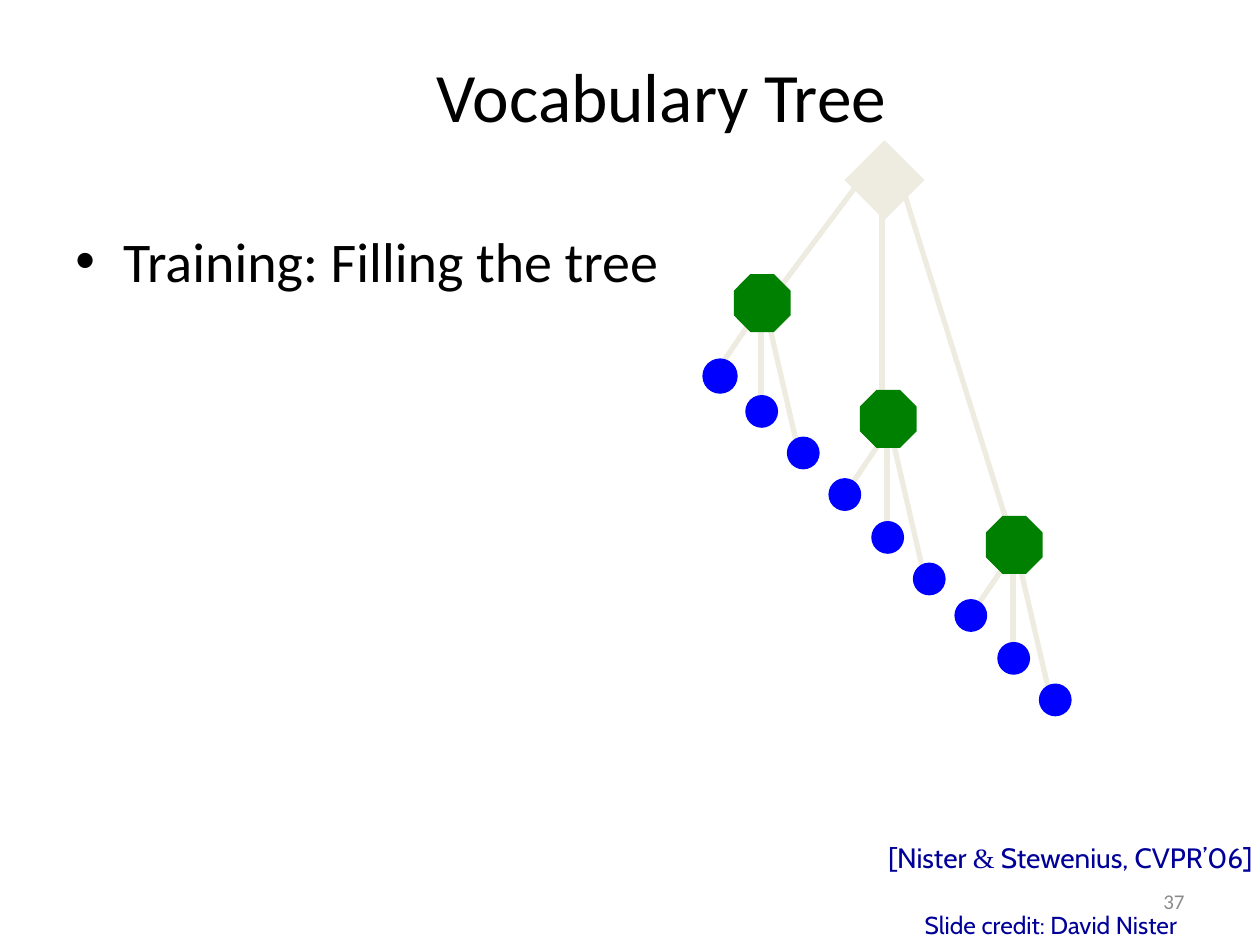
from lxml import etree
from pptx import Presentation
from pptx.dml.color import RGBColor
from pptx.enum.shapes import MSO_CONNECTOR, MSO_SHAPE as SHAPE
from pptx.enum.text import MSO_ANCHOR as ANCHOR, PP_ALIGN as ALIGN
from pptx.oxml.ns import qn
from pptx.util import Inches, Pt

BLACK, NAVY, GREY = "000000", "000099", "8C8C8C"
CREAM, GREEN, BLUE = "EEECE1", "008000", "0000FF"


def color(value):
    return RGBColor.from_string(value)


class TreeSlide:
    line_width = 3
    outline_width = 0.75

    def __init__(self, deck):
        self.page = deck.slides.add_slide(deck.slide_layouts[6])

    def text(self, spans, at, size, ink=BLACK, align=ALIGN.LEFT,
             anchor=ANCHOR.TOP, wrap=True, bullet=False):
        box = self.page.shapes.add_textbox(*map(Inches, at))
        frame = box.text_frame
        frame.word_wrap = wrap
        frame.vertical_anchor = anchor
        para = frame.paragraphs[0]
        para.alignment = align
        if bullet:
            props = para._p.get_or_add_pPr()
            props.set("marL", str(Inches(0.38)))
            props.set("indent", str(-Inches(0.38)))
            etree.SubElement(props, qn("a:buFont")).set("typeface", "Arial")
            etree.SubElement(props, qn("a:buChar")).set("char", "•")
        para.font.size = Pt(size)
        para.font.color.rgb = color(ink)
        fonts = {font for _, font in spans}
        if len(fonts) == 1:
            para.font.name = fonts.pop()
        for words, font in spans:
            span = para.add_run()
            span.text = words
            span.font.size = Pt(size)
            span.font.color.rgb = color(ink)
            span.font.name = font

    def line(self, start, end):
        link = self.page.shapes.add_connector(
            MSO_CONNECTOR.STRAIGHT, *map(Inches, (*start, *end)))
        link.line.color.rgb = color(CREAM)
        link.line.width = Pt(self.line_width)
        etree.SubElement(link._element.spPr, qn("a:effectLst"))

    def node(self, kind, at, fill):
        shape = self.page.shapes.add_shape(kind, *map(Inches, at))
        shape.shadow.inherit = False
        shape.fill.solid()
        shape.fill.fore_color.rgb = color(fill)
        shape.line.color.rgb = color(fill)
        shape.line.width = Pt(self.outline_width)
        return shape

    def branch(self, x, y, first_leaf):
        self.line((x - 0.34, y + 0.5), (x, y))
        self.line((x, y + 0.02), (x, y + 0.86))
        self.line((x + 0.04, y + 0.04), (x + 0.29, y + 1.12))
        kind, drop, size = first_leaf
        self.node(kind, (x - 0.46, y + drop, size, size), BLUE)
        for left, top in ((-0.12, 0.71), (0.21, 1.04)):
            self.node(SHAPE.OVAL, (x + left, y + top, 0.25, 0.25), BLUE)

    def hub(self, left, top):
        octagon = self.node(SHAPE.OCTAGON, (left, top, 0.44, 0.45), GREEN)
        octagon.adjustments[0] = 0.293


def main():
    deck = Presentation()
    deck.slide_width, deck.slide_height = Inches(10), Inches(7.5)
    slide = TreeSlide(deck)

    slide.text([("Vocabulary Tree", "Calibri")], (0.5, 0.42, 9.5, 0.67), 39.6,
               align=ALIGN.CENTER, anchor=ANCHOR.MIDDLE)
    slide.text([("Training: Filling the tree", "Calibri")],
               (0.5, 1.75, 9, 4.95), 32, bullet=True)

    oval_leaf = (SHAPE.OVAL, 0.37, 0.25)
    round_leaf = (SHAPE.FLOWCHART_CONNECTOR, 0.42, 0.27)
    slide.branch(8.04, 4.39, oval_leaf)
    slide.branch(7.04, 3.43, oval_leaf)
    slide.branch(6.04, 2.43, round_leaf)

    slide.line((6.08, 2.43), (6.83, 1.43))
    slide.line((7, 3.43), (7, 1.51))
    slide.line((8.08, 4.43), (7.17, 1.51))
    slide.node(SHAPE.DIAMOND, (6.71, 1.12, 0.62, 0.62), CREAM)
    for left, top in ((5.83, 2.18), (6.83, 3.1), (7.83, 4.1)):
        slide.hub(left, top)

    slide.text([("Slide credit: David Nister", "Cabin")],
               (7.24, 7.17, 2.38, 0.33), 14, NAVY, wrap=False)
    slide.text([("[Nister ", "Cabin"), ("&", "Times New Roman"),
                (" Stewenius, CVPR’06]", "Cabin")],
               (6.79, 6.62, 3.25, 0.37), 16, NAVY, ALIGN.RIGHT, wrap=False)
    slide.text([("37", "Calibri")], (7.17, 6.95, 2.33, 0.4), 12, GREY,
               ALIGN.RIGHT, ANCHOR.MIDDLE)

    deck.save("out.pptx")


if __name__ == "__main__":
    main()
